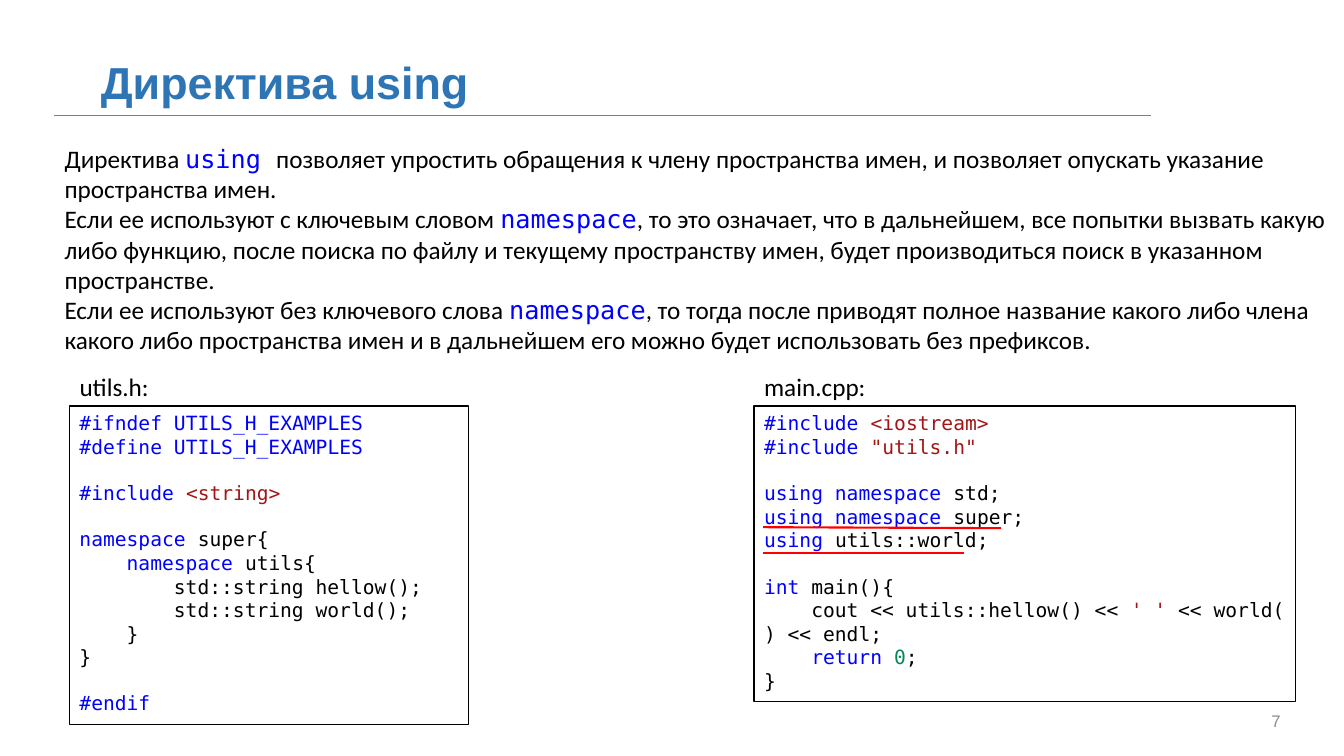
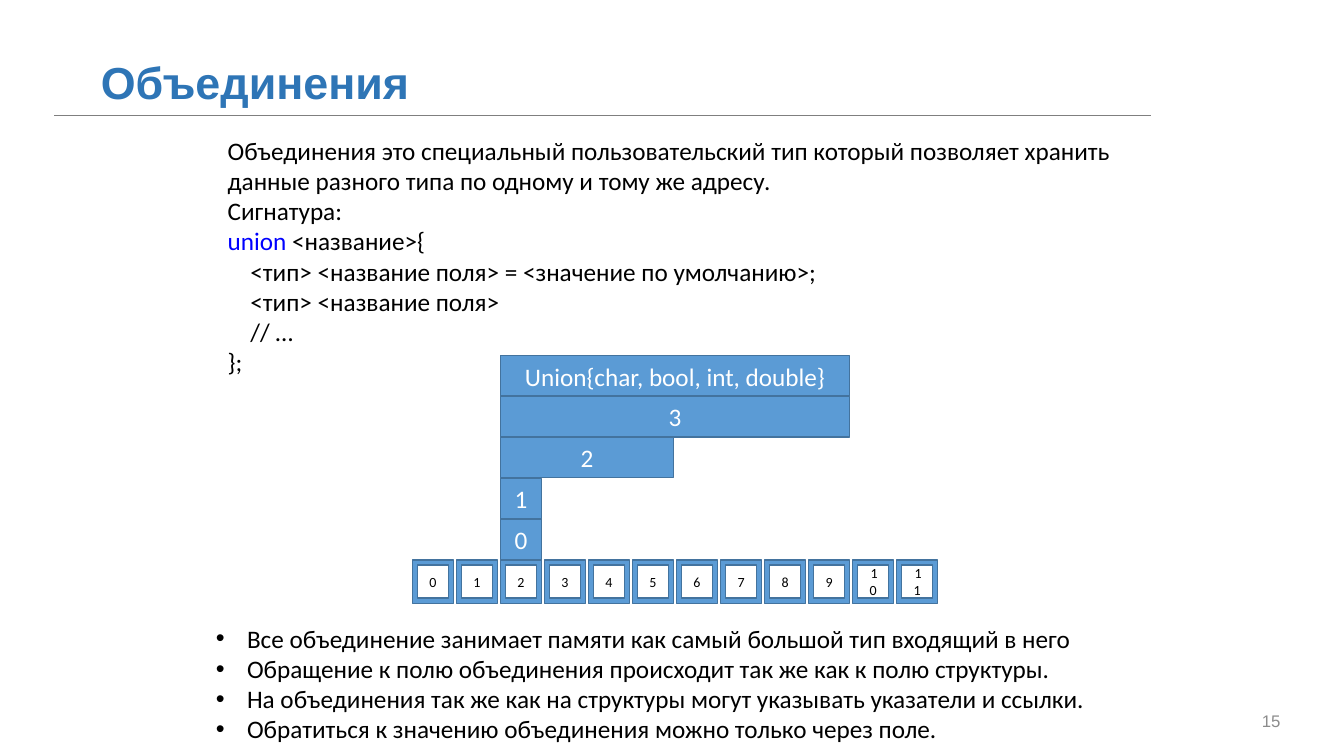
from pptx import Presentation
from pptx.dml.color import RGBColor
from pptx.enum.shapes import MSO_CONNECTOR as LINE, MSO_SHAPE as SHAPE
from pptx.enum.text import MSO_ANCHOR as ANCHOR, MSO_AUTO_SIZE as AUTO, PP_ALIGN as ALIGN
from pptx.oxml.ns import qn
from pptx.util import Inches, Pt
from lxml.etree import SubElement

# Colours and fonts
BLACK, WHITE = RGBColor(0, 0, 0), RGBColor(255, 255, 255)
BLUE, RED = RGBColor(0, 0, 255), RGBColor(255, 0, 0)
BRICK, GREEN = RGBColor(0xA3, 0x15, 0x15), RGBColor(0x09, 0x86, 0x58)
HEAD, GREY, RULE = RGBColor(0x2E, 0x75, 0xB6), RGBColor(0x8C, 0x8C, 0x8C), RGBColor(0x7F, 0x7F, 0x7F)
FILL, EDGE = RGBColor(0x5B, 0x9B, 0xD5), RGBColor(0x43, 0x73, 0x9E)
SANS, TEXT, MONO = "Arial", "Calibri", "DejaVu Sans Mono"
SPACE = {SANS: 0.28, TEXT: 0.226, MONO: 0.602}  # width of a space, in ems
ROW = 1.164  # height of a code line, in ems

# Content: a line is a list of parts, a part is text or (text, colour);
# leading spaces become an indent, an empty line a gap
USING = [
    ["Директива ", ("using ", BLUE), "позволяет упростить обращения к члену пространства имен, "
     "и позволяет опускать указание пространства имен."],
    ["Если ее используют с ключевым словом ", ("namespace", BLUE),
     ", то это означает, что в дальнейшем, все попытки вызвать какую либо функцию, после поиска "
     "по файлу и текущему пространству имен, будет производиться поиск в указанном пространстве."],
    ["Если ее используют без ключевого слова ", ("namespace", BLUE),
     ", то тогда после приводят полное название какого либо члена какого либо пространства имен "
     "и в дальнейшем его можно будет использовать без префиксов."],
]
UTILS = [
    [("#ifndef UTILS_H_EXAMPLES", BLUE)],
    [("#define UTILS_H_EXAMPLES", BLUE)],
    [],
    [("#include ", BLUE), ("<string>", BRICK)],
    [],
    [("namespace", BLUE), " super{"],
    [("    namespace ", BLUE), "utils{"],
    ["        std::string hellow();"],
    ["        std::string world();"],
    ["    }"],
    ["}"],
    [],
    [("#endif", BLUE)],
]
MAIN = [
    [("#include ", BLUE), ("<iostream>", BRICK)],
    [("#include ", BLUE), ('"utils.h"', BRICK)],
    [],
    [("using namespace ", BLUE), "std;"],
    [("using namespace", BLUE), " super;"],
    [("using ", BLUE), "utils::world;"],
    [],
    [("int", BLUE), " main(){"],
    ["    cout << utils::hellow() << ", ("' '", BRICK), " << world() << endl;"],
    [("    return ", BLUE), ("0", GREEN), ";"],
    ["}"],
]
FILES = [("utils.h:", UTILS, 0.69, 3.96, 3.16), ("main.cpp:", MAIN, 7.48, 5.37, 2.93)]
MARKS = [(7.57, 5.23, 9.93, 5.24), (7.57, 5.49, 9.56, 5.49)]

UNION = [
    ["Объединения это специальный пользовательский тип который позволяет хранить "
     "данные разного типа по одному и тому же адресу."],
    ["Сигнатура:"],
    [("union", BLUE), " <название>{"],
    ["    <тип> <название поля> = <значение по умолчанию>;"],
    ["    <тип> <название поля>"],
    ["    // …"],
    ["};"],
]
FACTS = [
    ["Все объединение занимает памяти как самый большой тип входящий в него"],
    ["Обращение к полю объединения происходит так же как к полю структуры."],
    ["На объединения так же как на структуры могут указывать указатели и ссылки."],
    ["Обратиться к значению объединения можно только через поле."],
]
# Label and width in bytes, from the top down
BARS = [("Union{char, bool, int, double}", 8), ("3", 8), ("2", 4), ("1", 1), ("0", 1)]
BYTES, START = 12, 2
LEFT, STEP, GAP = 4.09, 5.24 / 12, 0.03
TOP, TALL, HIGH = 3.53, 0.4, 0.43
RISE = 0.405


def put(shape, lines, font=TEXT, size=18, color=BLACK, bold=False, align=ALIGN.LEFT,
        anchor=ANCHOR.TOP, code=None, bullet=None, wrap=True, track=0):
    """Write lines of parts; code is the font of the coloured parts."""
    frame = shape.text_frame
    frame.auto_size, frame.word_wrap, frame.vertical_anchor = AUTO.NONE, wrap, anchor
    gap, fresh = 0, True
    for line in [[lines]] if isinstance(lines, str) else lines:
        if not line:
            gap += size * ROW
            continue
        par = frame.paragraphs[0] if fresh else frame.add_paragraph()
        par.alignment = align
        par.space_before, par.space_after = Pt(gap), Pt(0)
        gap, fresh = 0, False
        parts = [part if isinstance(part, tuple) else (part, None) for part in line]
        head = parts[0][0]
        pad = len(head) - len(head.lstrip())
        parts[0] = (head.lstrip(), parts[0][1])
        props = par._p.get_or_add_pPr()
        if bullet:
            props.set("marL", str(Inches(0.31)))
            props.set("indent", str(-Inches(0.31)))
            SubElement(props, qn("a:buChar")).set("char", bullet)
        else:
            props.set("marL", "0")
            props.set("indent", str(Pt(pad * size * SPACE[font])))
            SubElement(props, qn("a:buNone"))
        for text, tint in parts:
            run = par.add_run()
            # Code keeps its spaces unbroken
            run.text = text.replace(" ", chr(160)) if font == MONO else text
            face = run.font
            face.name = code if code and tint else font
            face.size, face.bold = Pt(size), bold
            face.color.rgb = tint or color
            if track:
                run._r.get_or_add_rPr().set("spc", str(int(track * 100)))
    return shape


def place(shape, *box):
    shape.left, shape.top, shape.width, shape.height = map(Inches, box)
    return shape


def area(slide, *box):
    return slide.shapes.add_textbox(*map(Inches, box))


def block(slide, kind, box, fill, edge):
    shape = slide.shapes.add_shape(kind, *map(Inches, box))
    shape.shadow.inherit = False
    shape.fill.solid()
    shape.fill.fore_color.rgb = fill
    shape.line.color.rgb, shape.line.width = edge, Pt(1)
    return shape


def rule(slide, ends, color, width):
    line = slide.shapes.add_connector(LINE.STRAIGHT, *map(Inches, ends))
    line.line.color.rgb, line.line.width = color, Pt(width)
    SubElement(line._element.spPr, qn("a:effectLst"))


def start(deck, title, number):
    """Add a slide with the shared title, rule and number; give it and its body."""
    slide = deck.slides.add_slide(deck.slide_layouts[1])
    put(place(slide.shapes.title, 0.9, 0.53, 8.45, 0.55), title,
        font=SANS, size=32, color=HEAD, bold=True, anchor=ANCHOR.MIDDLE)
    rule(slide, (0.54, 1.14, 11.42, 1.14), RULE, 0.5)
    put(area(slide, 11.5, 6.95, 1.3, 0.4), number, font=SANS, size=12,
        color=GREY, align=ALIGN.RIGHT, anchor=ANCHOR.MIDDLE)
    return slide, slide.placeholders[1]


def using(deck):
    slide, body = start(deck, "Директива using", "7")
    put(place(body, 0.54, 1.37, 12.79, 2.22), USING, code=MONO)
    # Code listings
    for name, lines, left, wide, high in FILES:
        box = block(slide, SHAPE.RECTANGLE, (left, 4.03, wide, high), WHITE, BLACK)
        put(box, lines, font=MONO, size=14)
        put(area(slide, left, 3.63, 1.22, 0.4), name, wrap=False)
    for ends in MARKS:
        rule(slide, ends, RED, 1.5)


def union(deck):
    slide, body = start(deck, "Объединения", "15")
    put(place(body, 2.04, 6.13, 9.28, 1.31), FACTS, bullet="•")
    put(area(slide, 2.16, 1.29, 9.07, 2.52), UNION)
    mid = dict(align=ALIGN.CENTER, anchor=ANCHOR.MIDDLE)
    # Fields over the bytes they fill
    for row, (label, count) in enumerate(BARS):
        box = (LEFT + START * STEP, TOP + row * RISE, count * STEP - GAP, TALL)
        put(block(slide, SHAPE.FLOWCHART_PROCESS, box, FILL, EDGE), label, color=WHITE, **mid)
    # Memory cells
    for cell in range(BYTES):
        box = (LEFT + cell * STEP, TOP + len(BARS) * RISE, STEP - GAP, HIGH)
        put(block(slide, SHAPE.FRAME, box, FILL, EDGE), str(cell), size=10, track=-1.5, **mid)


def main():
    deck = Presentation()
    deck.slide_width, deck.slide_height = Inches(13.33), Inches(7.5)
    using(deck)
    union(deck)
    deck.save("out.pptx")


if __name__ == "__main__":
    main()
